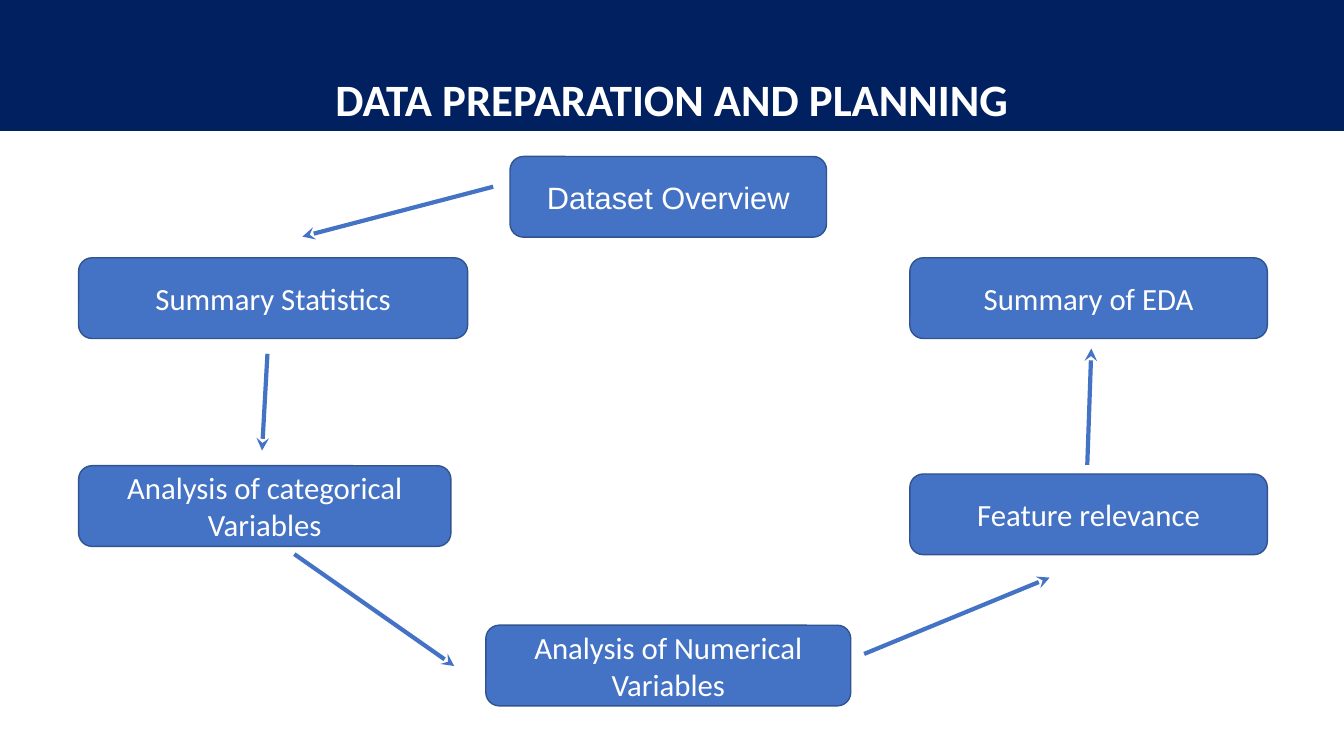
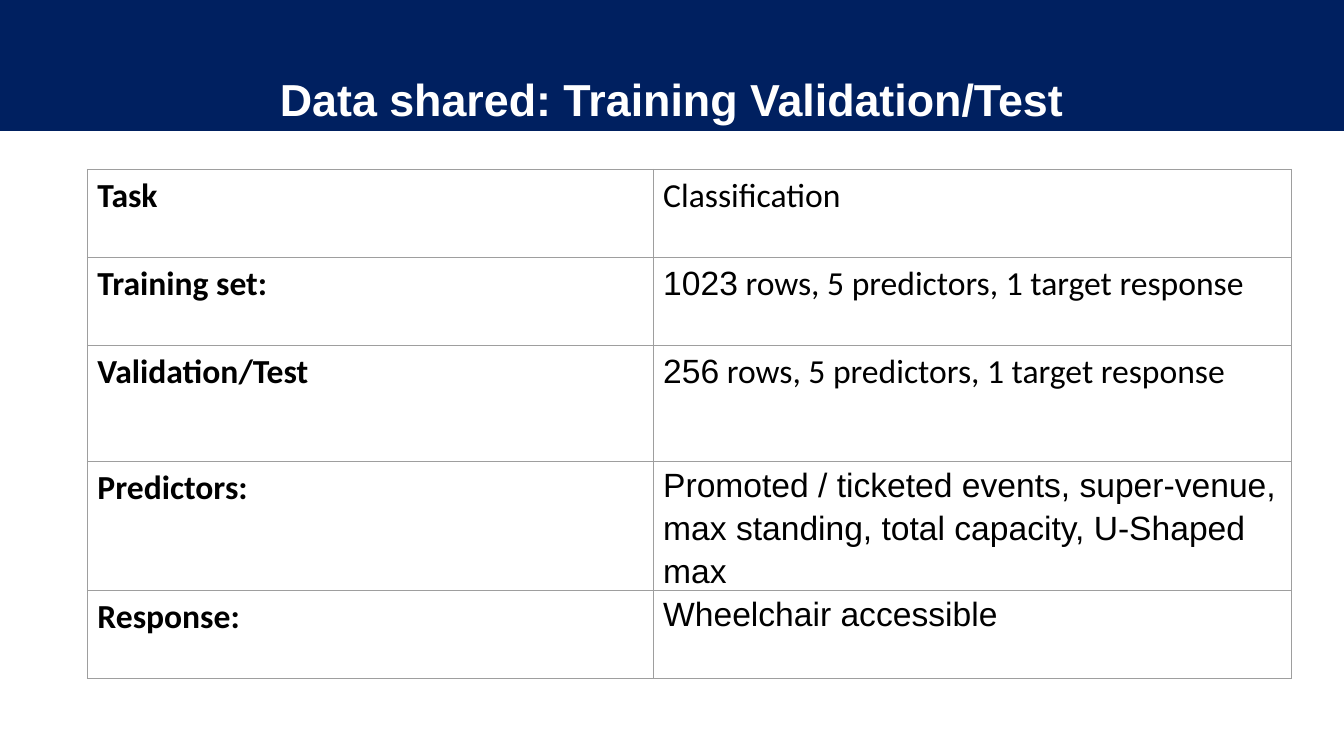
import pptx
import pptx.util
import pptx.dml.color
import pptx.enum.shapes
import pptx.enum.text
import pptx.oxml
import pptx.oxml.ns

NAVY, BLUE, OUTLINE, GREY = "002060", "4472C4", "31538F", "9E9E9E"
WHITE, BLACK = "FFFFFF", "000000"
Pt = pptx.util.Pt
PP_ALIGN = pptx.enum.text.PP_ALIGN
ANCHOR = pptx.enum.text.MSO_ANCHOR

deck = pptx.Presentation()
deck.slide_width = pptx.util.Inches(13.333)
deck.slide_height = pptx.util.Inches(7.5)
# Grid: 100 columns by 100 rows
COL, ROW = deck.slide_width / 100, deck.slide_height / 100


def rgb(color):
    return pptx.dml.color.RGBColor.from_string(color)


def style(run, font, size, color, bold=False):
    run.font.name, run.font.size, run.font.bold = font, Pt(size), bold
    run.font.color.rgb = rgb(color)


# Both slides: a navy title band
slides = []
for heading, font in [("DATA PREPARATION AND PLANNING", "Calibri"),
                      ("Data shared: Training Validation/Test", "Arial")]:
    slide = deck.slides.add_slide(deck.slide_layouts[5])
    band = slide.shapes.title
    band.left, band.top = 0, 0
    band.width, band.height = deck.slide_width, int(17.3 * ROW)
    band.fill.solid()
    band.fill.fore_color.rgb = rgb(NAVY)
    band.text_frame.text = heading
    band.text_frame.auto_size = pptx.enum.text.MSO_AUTO_SIZE.NONE
    band.text_frame.vertical_anchor = ANCHOR.BOTTOM
    band.text_frame.paragraphs[0].alignment = PP_ALIGN.CENTER
    style(band.text_frame.paragraphs[0].runs[0], font, 32, WHITE, bold=True)
    slides.append(slide)
planning, data_shared = slides

# Planning steps: text, font, left, top, width
STEP_HEIGHT = 10.67
steps = [
    ("Dataset Overview", "Arial", 37.95, 20.7, 23.55),
    ("Summary Statistics", "Calibri", 5.85, 34.1, 28.95),
    ("Analysis of categorical Variables", "Calibri", 5.85, 61.6, 27.7),
    ("Analysis of Numerical Variables", "Calibri", 36.15, 82.7, 27.15),
    ("Feature relevance", "Calibri", 67.7, 62.7, 26.6),
    ("Summary of EDA", "Calibri", 67.7, 34.1, 26.6),
]
for text, font, left, top, width in steps:
    step = planning.shapes.add_shape(
        pptx.enum.shapes.MSO_SHAPE.ROUNDED_RECTANGLE,
        int(left * COL), int(top * ROW), int(width * COL), int(STEP_HEIGHT * ROW))
    step.shadow.inherit = False
    step.fill.solid()
    step.fill.fore_color.rgb = rgb(BLUE)
    step.line.color.rgb = rgb(OUTLINE)
    step.line.width = Pt(1)
    step.text_frame.text = text
    step.text_frame.word_wrap = True
    step.text_frame.vertical_anchor = ANCHOR.MIDDLE
    step.text_frame.paragraphs[0].alignment = PP_ALIGN.CENTER
    style(step.text_frame.paragraphs[0].runs[0], font, 22, WHITE)

# Arrows from each step towards the next: start column, row, end column, row
arrows = [
    (36.7, 24.7, 22.5, 31.3),
    (19.9, 46.8, 19.5, 59.6),
    (21.9, 73.3, 33.8, 88.1),
    (64.3, 86.5, 78.1, 76.4),
    (80.9, 61.5, 81.2, 46.1),
]
for x1, y1, x2, y2 in arrows:
    arrow = planning.shapes.add_connector(
        pptx.enum.shapes.MSO_CONNECTOR.STRAIGHT,
        int(x1 * COL), int(y1 * ROW), int(x2 * COL), int(y2 * ROW))
    arrow.line.color.rgb = rgb(BLUE)
    arrow.line.width = Pt(3)
    properties = arrow.element.spPr
    line = properties.find(pptx.oxml.ns.qn("a:ln"))
    line.append(pptx.oxml.parse_xml(
        f'<a:tailEnd {pptx.oxml.ns.nsdecls("a")} type="stealth"/>'))
    properties.append(pptx.oxml.parse_xml(
        f'<a:effectLst {pptx.oxml.ns.nsdecls("a")}/>'))

# Data split table: label, runs of the value, row height
response = (" rows, 5 predictors, 1 target response", "Calibri")
facts = [
    ("Task", [("Classification", "Calibri")], 11.64),
    ("Training set:", [("1023", "Arial"), response], 11.64),
    ("Validation/Test", [("256", "Arial"), response], 15.33),
    ("Predictors:", [("Promoted / ticketed events, super-venue, max standing, "
                      "total capacity, U-Shaped max", "Arial")], 17.1),
    ("Response:", [("Wheelchair accessible", "Arial")], 11.64),
]
widths = [42.1, 47.5]
table = data_shared.shapes.add_table(
    len(facts), len(widths), int(6.5 * COL), int(22.4 * ROW),
    int(sum(widths) * COL), int(sum(fact[2] for fact in facts) * ROW)).table
table.first_row = table.horz_banding = False
for column, width in zip(table.columns, widths):
    column.width = int(width * COL)

for row, (label, value, height) in enumerate(facts):
    table.rows[row].height = int(height * ROW)
    for column, parts in enumerate([[(label, "Calibri")], value]):
        cell = table.cell(row, column)
        cell.margin_top = cell.margin_bottom = 0
        cell_properties = cell._tc.get_or_add_tcPr()
        for side in ("lnL", "lnR", "lnT", "lnB"):
            cell_properties.append(pptx.oxml.parse_xml(
                f'<a:{side} {pptx.oxml.ns.nsdecls("a")} w="{Pt(0.75)}"><a:solidFill>'
                f'<a:srgbClr val="{GREY}"/></a:solidFill></a:{side}>'))
        cell.fill.solid()
        cell.fill.fore_color.rgb = rgb(WHITE)
        paragraph = cell.text_frame.paragraphs[0]
        paragraph.line_spacing = 1.15
        for text, font in parts:
            run = paragraph.add_run()
            run.text = text
            style(run, font, 24, BLACK, bold=column == 0)

deck.save("out.pptx")
